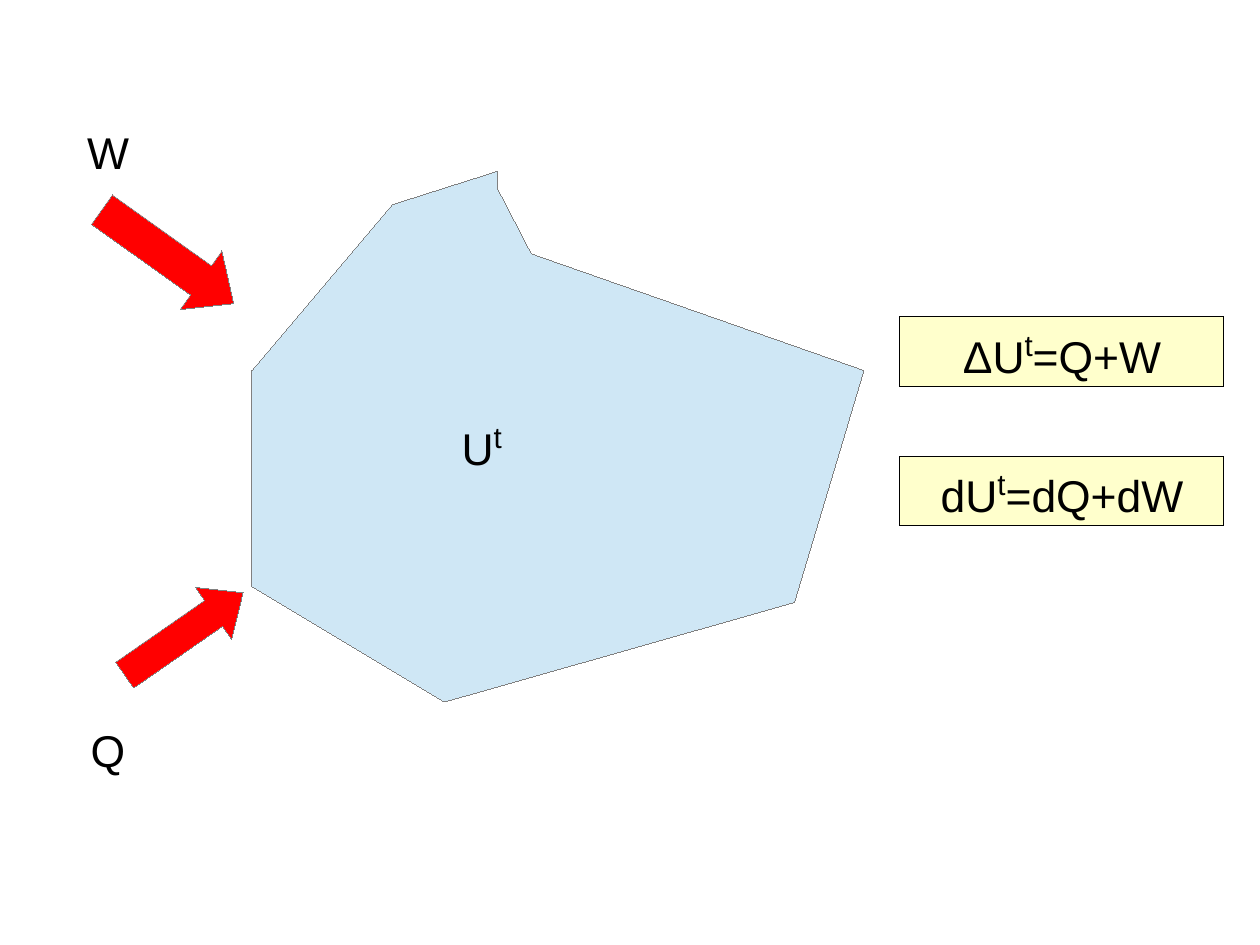
import pptx
import pptx.util
import pptx.dml.color
import pptx.enum.shapes
import pptx.enum.text

COLORS = {"system": "CFE7F5", "arrow": "FF0000", "equation": "FFFFCC",
          "edge": "808080", "ink": "000000"}
WIDTH, HEIGHT, COLUMNS = 28, 21, 70
OUTLINE = [(29.53, 14.1), (48, 20.58), (44.14, 33.47), (24.7, 39), (14, 32.58),
           (14, 20.58), (21.79, 11.37), (27.62, 9.52), (27.62, 10.42)]
ARROWS = [((4.83, 12.26, 9, 4), 35.5, 0.56), ((6.22, 33.47, 8, 3.49), 325.2, 0.57)]
LABELS = [((4, 6.65, 4, 3.37), ["W"]),
          ((4, 39.88, 4, 3.37), ["Q"]),
          ((24.76, 22.73, 4, 4.07), ["U", "t"])]
EQUATIONS = [["ΔU", "t", "=Q+W"], ["dU", "t", "=dQ+dW"]]
EQUATION_TOP, EQUATION_STEP = 17.59, 7.75
HAIRLINE = 1
SPAN_FORMATS = [{"name": "Arial", "size": pptx.util.Pt(28)},
                {"name": "Arial", "size": pptx.util.Pt(32)}]
FRAME_FORMAT = {"word_wrap": True,
                "vertical_anchor": pptx.enum.text.MSO_ANCHOR.TOP,
                "auto_size": pptx.enum.text.MSO_AUTO_SIZE.NONE}
CELL = pptx.util.Cm(WIDTH) / COLUMNS
PRESETS = pptx.enum.shapes.MSO_SHAPE


def cells(values):
    return [round(value * CELL) for value in values]


def color(name):
    return pptx.dml.color.RGBColor.from_string(COLORS[name])


def paint(shape, fill, edge):
    shape.shadow.inherit = False
    shape.fill.solid()
    shape.fill.fore_color.rgb = color(fill)
    shape.line.color.rgb = color(edge)
    shape.line.width = HAIRLINE


def write(box, texts):
    frame = box.text_frame
    for name, value in FRAME_FORMAT.items():
        setattr(frame, name, value)
    para = frame.paragraphs[0]
    para.alignment = pptx.enum.text.PP_ALIGN.CENTER
    for index, text in enumerate(texts):
        raised = index % 2
        span = para.add_run()
        span.text = text
        for name, value in SPAN_FORMATS[raised].items():
            setattr(span.font, name, value)
        span.font.color.rgb = color("ink")
        if raised:
            span.font._element.set("baseline", "33000")


def main():
    deck = pptx.Presentation()
    deck.slide_width = pptx.util.Cm(WIDTH)
    deck.slide_height = pptx.util.Cm(HEIGHT)
    page = deck.slides.add_slide(deck.slide_layouts[6])

    start, *corners = [cells(point) for point in OUTLINE]
    builder = page.shapes.build_freeform(*start)
    builder.add_line_segments(corners, close=True)
    paint(builder.convert_to_shape(), "system", "edge")

    for area, angle, head in ARROWS:
        arrow = page.shapes.add_shape(PRESETS.RIGHT_ARROW, *cells(area))
        arrow.rotation = angle
        arrow.adjustments[1] = head
        paint(arrow, "arrow", "edge")

    for area, texts in LABELS:
        write(page.shapes.add_textbox(*cells(area)), texts)

    for index, texts in enumerate(EQUATIONS):
        area = (50, EQUATION_TOP + index * EQUATION_STEP, 18, 3.87)
        box = page.shapes.add_shape(PRESETS.RECTANGLE, *cells(area))
        paint(box, "equation", "ink")
        write(box, texts)

    deck.save("out.pptx")


if __name__ == "__main__":
    main()
